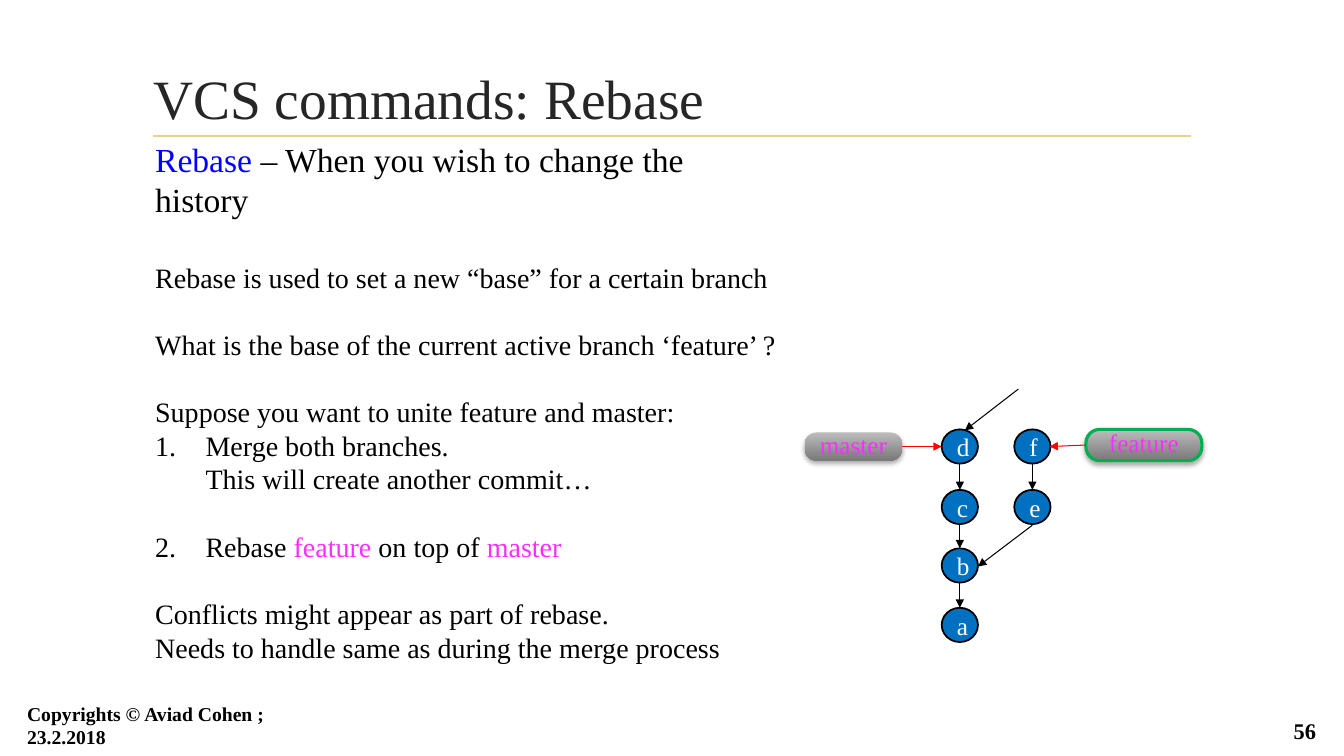
from lxml import etree
from pptx import Presentation
from pptx import util as u
from pptx.dml.color import RGBColor
from pptx.enum import shapes, text
from pptx.oxml.ns import qn

PX = 9144
FONT = "Times New Roman"
COLORS = {
    "ink": "000000", "title": "262626", "term": "0000FF", "branch": "FD2DFF",
    "commit": "0070C0", "white": "FFFFFF", "rule": "E8D191", "pointer": "FF0000",
    "active": "00B050", "pill_top": "BCBCBC", "pill_bottom": "797979",
}
COMMIT_W, COMMIT_H = 36, 34
MAIN_X, FEATURE_X = 934, 1006
ROWS = (426, 486, 544, 603)
BLANK_24, BLANK_20 = 29, 24

BODY = (
    (0, 24, None, 0, (("Rebase ", "term"),
                      ("– When you wish to change the history", "ink"))),
    (BLANK_24, 20, None, 0, (("Rebase is used to set a new “base” for a certain branch", "ink"),)),
    (BLANK_20, 20, None, 0, (("What is the base of the current active branch ‘feature’ ?", "ink"),)),
    (BLANK_20, 20, None, 0, (("Suppose you want to unite feature and master:", "ink"),)),
    (0, 20, 1, 50, (("Merge both branches.", "ink"),)),
    (0, 20, None, 50, (("This will create another commit…", "ink"),)),
    (BLANK_20, 20, 2, 50, (("Rebase ", "ink"), ("feature", "branch"),
                           (" on top of ", "ink"), ("master", "branch"))),
    (BLANK_20, 20, None, 0, (("Conflicts might appear as part of rebase.", "ink"),)),
    (0, 20, None, 0, (("Needs to handle same as during the merge process", "ink"),)),
)


def rgb(name):
    return RGBColor.from_string(COLORS[name])


def box(*lengths):
    return [u.Emu(length * PX) for length in lengths]


def add_run(paragraph, words, size, color, bold=False):
    run = paragraph.add_run()
    run.text = words
    run.font.name = FONT
    run.font.size = u.Pt(size)
    run.font.bold = bold
    run.font.color.rgb = rgb(color)


def add_title(slide, words):
    title = slide.shapes.title
    title.left, title.top, title.width, title.height = box(142, 68, 1050, 57)
    frame = title.text_frame
    frame.auto_size = text.MSO_AUTO_SIZE.NONE
    frame.vertical_anchor = text.MSO_ANCHOR.MIDDLE
    frame.paragraphs[0].alignment = text.PP_ALIGN.LEFT
    add_run(frame.paragraphs[0], words, 39.6, "title")


def add_body(slide):
    frame = slide.shapes.add_textbox(*box(144, 133, 641, 495)).text_frame
    frame.word_wrap = True
    for index, (before, size, number, indent, runs) in enumerate(BODY):
        paragraph = frame.add_paragraph() if index else frame.paragraphs[0]
        paragraph.space_before = u.Pt(before)
        props = paragraph._p.get_or_add_pPr()
        props.set("marL", str(indent * PX))
        if number:
            props.set("indent", str(-indent * PX))
            etree.SubElement(props, qn("a:buAutoNum"), type="arabicPeriod", startAt=str(number))
        for words, color in runs:
            add_run(paragraph, words, size, color)


def add_footer(slide, area, words, size, align):
    frame = slide.shapes.add_textbox(*box(*area)).text_frame
    frame.word_wrap = True
    frame.vertical_anchor = text.MSO_ANCHOR.MIDDLE
    frame.paragraphs[0].alignment = align
    add_run(frame.paragraphs[0], words, size, "ink", True)


def add_label(shape, words, color):
    frame = shape.text_frame
    frame.word_wrap = True
    frame.vertical_anchor = text.MSO_ANCHOR.MIDDLE
    frame.paragraphs[0].alignment = text.PP_ALIGN.CENTER
    add_run(frame.paragraphs[0], words, 18, color)


def add_commit(slide, name, left, top):
    commit = slide.shapes.add_shape(
        shapes.MSO_SHAPE.OVAL, *box(left, top, COMMIT_W, COMMIT_H))
    commit.shadow.inherit = False
    commit.fill.solid()
    commit.fill.fore_color.rgb = rgb("commit")
    commit.line.color.rgb = rgb("ink")
    commit.line.width = u.Pt(1.25)
    add_label(commit, name, "white")


def add_branch(slide, name, area, active=False):
    branch = slide.shapes.add_shape(shapes.MSO_SHAPE.ROUNDED_RECTANGLE, *box(*area))
    branch.adjustments[0] = 0.44
    branch.fill.gradient()
    branch.fill.gradient_angle = 270
    for stop, color in zip(branch.fill.gradient_stops, ("pill_top", "pill_bottom")):
        stop.color.rgb = rgb(color)
    if active:
        branch.line.color.rgb = rgb("active")
        branch.line.width = u.Pt(2.25)
    else:
        branch.line.fill.background()
    branch.shadow.inherit = False
    effects = branch._element.spPr.find(qn("a:effectLst"))
    shadow = etree.SubElement(
        effects, qn("a:outerShdw"), blurRad=str(u.Pt(3.5)), dist=str(u.Pt(2.2)),
        dir="5400000", rotWithShape="0")
    shade = etree.SubElement(shadow, qn("a:srgbClr"), val=COLORS["ink"])
    etree.SubElement(shade, qn("a:alpha"), val="32000")
    frame = branch.text_frame
    frame.margin_top, frame.margin_bottom = box(0, 5)
    add_label(branch, name, "branch")
    return branch


def add_line(slide, start, end, color="ink", width=0.75, arrow=True):
    line = slide.shapes.add_connector(shapes.MSO_CONNECTOR.STRAIGHT, *box(*start, *end))
    line.line.color.rgb = rgb(color)
    line.line.width = u.Pt(width)
    if arrow:
        etree.SubElement(line.line._get_or_add_ln(), qn("a:tailEnd"), type="triangle")
    etree.SubElement(line._element.spPr, qn("a:effectLst"))
    return line


def add_history(slide):
    for left, names in ((MAIN_X, "dcba"), (FEATURE_X, "fe")):
        center = left + COMMIT_W // 2
        for name, top in zip(names, ROWS):
            add_commit(slide, name, left, top)
        for top, below in zip(ROWS, ROWS[1:len(names)]):
            add_line(slide, (center, top + COMMIT_H), (center, below))
    add_line(slide, (1024, 521), (970, 562))
    add_line(slide, (1010, 386), (957, 427))

    feature = add_branch(slide, "feature", (1077, 426, 115, 31), True)
    master = add_branch(slide, "master", (798, 429, 97, 28))
    add_line(slide, (1077, 441), (1041, 443), "pointer").begin_connect(feature, 1)
    add_line(slide, (895, 443), (934, 443), "pointer").begin_connect(master, 3)


def main():
    deck = Presentation()
    deck.slide_width, deck.slide_height = box(1333, 750)
    slide = deck.slides.add_slide(deck.slide_layouts[5])
    add_line(slide, (152, 135), (1181, 135), "rule", 1.25, False)
    add_title(slide, "VCS commands: Rebase")
    add_body(slide)
    add_history(slide)
    add_footer(slide, (1256, 709, 59, 31), "56", 16, text.PP_ALIGN.RIGHT)
    add_footer(slide, (17, 704, 335, 31), "Copyrights © Aviad Cohen ; 23.2.2018",
               14, text.PP_ALIGN.LEFT)
    deck.save("out.pptx")


if __name__ == "__main__":
    main()
